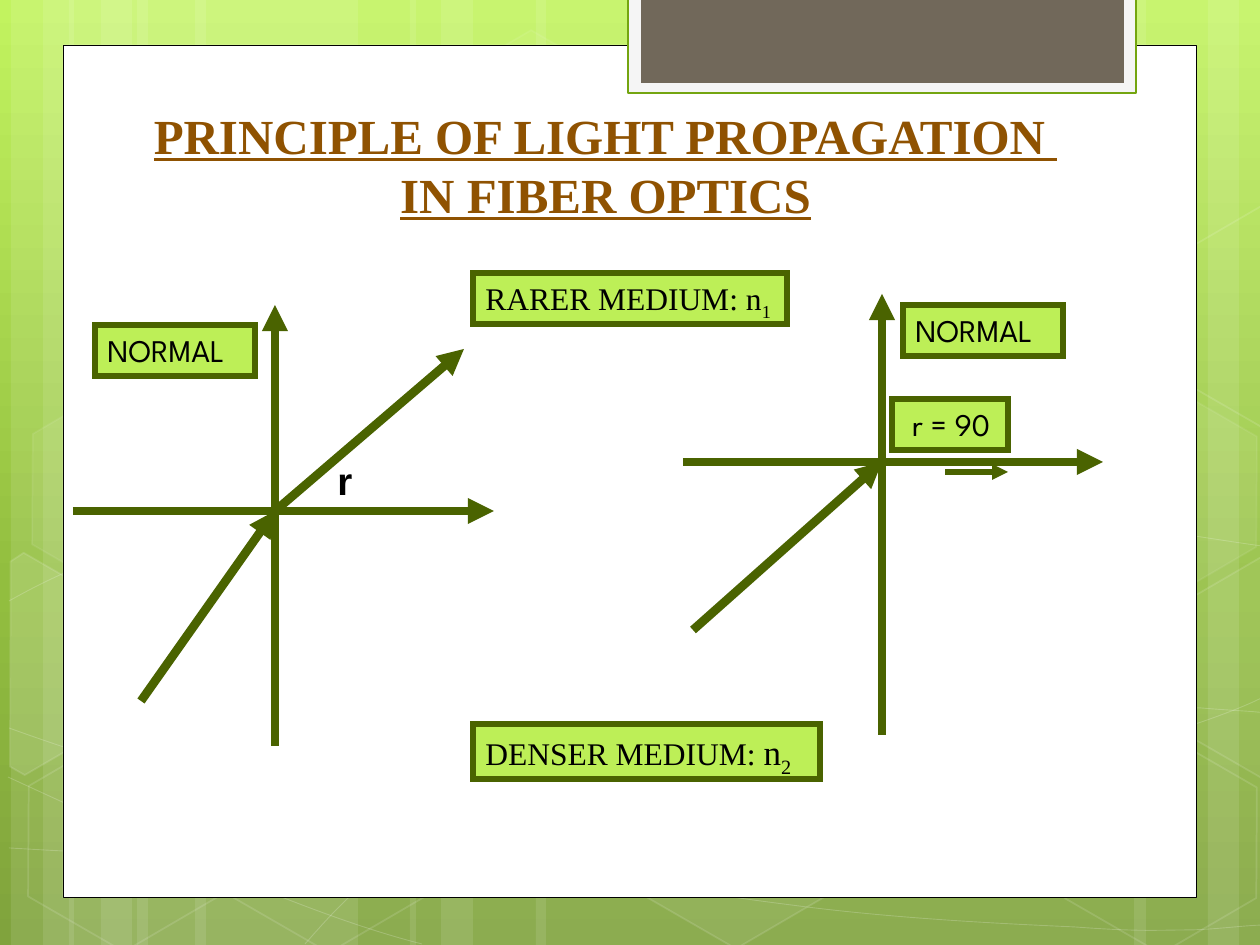
"""Build a slide on the principle of light propagation in fiber optics."""
from copy import deepcopy

from lxml import etree
from pptx import Presentation
from pptx.dml.color import RGBColor
from pptx.enum.shapes import MSO_CONNECTOR, MSO_SHAPE
from pptx.enum.text import MSO_ANCHOR, MSO_AUTO_SIZE, PP_ALIGN
from pptx.oxml.ns import qn
from pptx.util import Emu, Pt

RECTANGLE, HEXAGON = MSO_SHAPE.RECTANGLE, MSO_SHAPE.HEXAGON
STRAIGHT = MSO_CONNECTOR.STRAIGHT
TOP, CENTER, LEFT = MSO_ANCHOR.TOP, PP_ALIGN.CENTER, PP_ALIGN.LEFT
GROW = MSO_AUTO_SIZE.SHAPE_TO_FIT_TEXT
PX = 914400 / 126
SERIF, SPARTAN, SANS = "Times New Roman", "League Spartan", "Arial"
COLORS = {
    "sky": "C2F35F", "leaf": "92BE3F", "moss": "80A33D",
    "white": "FFFFFF", "black": "000000", "tab": "F5F5F5",
    "tab_edge": "74A510", "tab_core": "71685A", "title": "8F5201",
    "ray": "4A6300", "label": "BDEF57",
}
RGB = {part: RGBColor.from_string(value) for part, value in COLORS.items()}


def box(*lengths):
    return [Emu(round(length * PX)) for length in lengths]


def paint(shape, fill=None, line=None, width=1, fill_alpha=100, line_alpha=100):
    shape.shadow.inherit = False
    for area, color, alpha in ((shape.fill, fill, fill_alpha),
                               (shape.line.fill, line, line_alpha)):
        if color is None:
            area.background()
            continue
        area.solid()
        area.fore_color.rgb = RGB[color]
        if alpha < 100:
            parent = shape._element.spPr
            if area is not shape.fill:
                parent = parent.find(qn("a:ln"))
            srgb = parent.find(qn("a:solidFill")).find(qn("a:srgbClr"))
            etree.SubElement(srgb, qn("a:alpha")).set("val", str(alpha * 1000))
    if line:
        shape.line.width = Pt(width)


prs = Presentation()
prs.slide_width, prs.slide_height = box(1260, 945)
slide = prs.slides.add_slide(prs.slide_layouts[5])
shapes = slide.shapes

backdrop = slide.background.fill
backdrop.gradient()
backdrop.gradient_angle = 270
stop_list = slide._element.find(".//" + qn("a:gsLst"))
stop_list.append(deepcopy(stop_list[-1]))
for stop, (position, color) in zip(
        backdrop.gradient_stops, ((0, "sky"), (0.62, "leaf"), (1, "moss"))):
    stop.position = position
    stop.color.rgb = RGB[color]

stripes = [(137, 221), (11, 63), (43, 105), (195, 221), (69, 63), (101, 105),
           (925, 221), (1208, 63), (1134, 105), (536, 389), (410, 63), (441, 105)]
for left, width in stripes:
    stripe = shapes.add_shape(RECTANGLE, *box(left, 0, width, 945))
    paint(stripe, "white", fill_alpha=10)

waves = [
    [(9, 848), (77, 852), (145, 856), (239, 854), (334, 853), (451, 851),
     (577, 838), (703, 825), (882, 801), (998, 777), (1113, 753), (1231, 716),
     (1269, 694)],
    [(9, 601), (45, 581), (82, 562), (152, 543), (224, 524), (326, 499),
     (437, 488), (549, 479), (685, 478), (824, 488), (963, 497), (1193, 537),
     (1269, 547)],
    [(8, 777), (160, 847), (311, 916), (422, 944)],
    [(9, 728), (48, 742), (88, 756), (161, 776), (234, 795), (344, 827),
     (450, 848), (554, 869), (687, 892), (791, 905), (896, 919), (1008, 924),
     (1075, 927), (1142, 932), (1158, 930), (1191, 930), (1223, 929),
     (1246, 925), (1269, 925)],
    [(305, 944), (328, 918), (350, 893), (381, 871), (411, 848), (454, 823),
     (489, 805), (524, 787), (546, 780), (591, 767), (638, 755), (722, 737),
     (766, 728), (811, 719), (818, 719), (857, 717), (896, 713), (958, 709),
     (1000, 708), (1045, 707), (1116, 708), (1116, 708), (1144, 708),
     (1173, 708), (1201, 708), (1224, 710), (1245, 711), (1256, 712),
     (1264, 713), (1268, 712), (1268, 713)],
]
for wave in waves:
    builder = shapes.build_freeform(*wave[0], scale=PX)
    builder.add_line_segments(wave[1:], close=False)
    curve = builder.convert_to_shape()
    outline = curve._element.find(".//" + qn("a:path"))
    for index, segment in enumerate(outline.findall(qn("a:lnTo"))):
        if index % 3 == 0:
            bezier = etree.SubElement(outline, qn("a:cubicBezTo"))
        bezier.append(segment[0])
        outline.remove(segment)
    paint(curve, None, "white", 0.5, line_alpha=20)

hexagons = [(421, 45, 4, 8), (626, 742, 6, 12), (14, 745, 0, 12),
            (18, 393, 7, 8), (219, 746, 0, 12), (949, 571, 10, 12),
            (1051, 747, 0, 12), (1051, 396, 7, 8)]
for left, top, fill_alpha, line_alpha in hexagons:
    cell = shapes.add_shape(HEXAGON, *box(left, top, 220, 192))
    cell.adjustments[0] = 0.285
    cell.rotation = 30
    paint(cell, "white" if fill_alpha else None, "white", 1, fill_alpha, line_alpha)

left_cut = [(0, 14), (7, 0), (119, 0), (174, 96), (119, 192), (102, 192)]
right_cut = [(0, 96), (55, 0), (65, 0), (171, 182), (165, 192), (55, 192)]
cut_cells = [(-42, 580, left_cut, 10), (1155, 559, right_cut, 4),
             (1155, 208, right_cut, 0)]
for left, top, corners, fill_alpha in cut_cells:
    placed = [(left + x, top + y) for x, y in corners]
    builder = shapes.build_freeform(*placed[0], scale=PX)
    builder.add_line_segments(placed[1:], close=True)
    cut_cell = builder.convert_to_shape()
    cut_cell.rotation = 30
    paint(cut_cell, "white" if fill_alpha else None, "white", 1, fill_alpha, 12)

panels = [((63, 45, 1134, 853), "white", "black", 0.5),
          ((628, -3, 508, 96), "tab", "tab_edge", 1.25),
          ((641, -3, 483, 86), "tab_core", None, 0)]
for place, fill, line, width in panels:
    paint(shapes.add_shape(RECTANGLE, *box(*place)), fill, line, width)

title = shapes.title
shapes._spTree.append(title._element)
title.left, title.top, title.width, title.height = box(136, 99, 939, 131)
heading = title.text_frame
heading.text = "PRINCIPLE OF LIGHT PROPAGATION \nIN FIBER OPTICS"
heading.word_wrap = False
heading.auto_size = GROW
heading.vertical_anchor = TOP
for paragraph in heading.paragraphs:
    paragraph.alignment = CENTER
    font = paragraph.runs[0].font
    font.name, font.size, font.bold, font.underline = SERIF, Pt(28), True, True
    font.color.rgb = RGB["title"]

rays = [
    (683, 462, 1103, 462, 5), (882, 735, 882, 294, 5), (693, 630, 882, 462, 5),
    (945, 472, 1008, 472, 3), (73, 511, 494, 511, 5), (275, 746, 275, 305, 5),
    (141, 701, 275, 511, 5), (275, 511, 464, 349, 5),
]
for *ends, width in rays:
    ray = shapes.add_connector(STRAIGHT, *box(*ends))
    ray.line.color.rgb = RGB["ray"]
    ray.line.width = Pt(width)
    etree.SubElement(ray.line._ln, qn("a:tailEnd")).set("type", "triangle")
    etree.SubElement(ray._element.spPr, qn("a:effectLst"))

labels = [
    ((473, 724, 347, 55), SERIF,
     [("DENSER MEDIUM: ", 18, 0), ("n", 20, 0), ("2", 20, -25)]),
    ((473, 273, 314, 51), SERIF, [("RARER MEDIUM: n", 18, 0), ("1", 18, -25)]),
    ((903, 305, 160, 51), SPARTAN, [("NORMAL", 18, 0)]),
    ((95, 325, 160, 51), SPARTAN, [("NORMAL", 18, 0)]),
    ((892, 399, 116, 51), SPARTAN, [(" r = 90", 18, 0)]),
    ((325, 451, 40, 59), SANS, [("r", 22, 0)]),
]
for place, typeface, pieces in labels:
    is_angle = typeface == SANS
    if is_angle:
        label = shapes.add_textbox(*box(*place))
    else:
        label = shapes.add_shape(RECTANGLE, *box(*place))
        paint(label, "label", "ray", 3)
        etree.SubElement(label.line._ln, qn("a:miter")).set("lim", "800000")
    frame = label.text_frame
    frame.word_wrap = False
    frame.auto_size = GROW
    frame.vertical_anchor = TOP
    frame.paragraphs[0].alignment = LEFT
    for text, size, baseline in pieces:
        run = frame.paragraphs[0].add_run()
        run.text = text
        run.font.name, run.font.size, run.font.bold = typeface, Pt(size), is_angle
        run.font.color.rgb = RGB["black"]
        if baseline:
            run._r.get_or_add_rPr().set("baseline", str(baseline * 1000))

prs.save("out.pptx")
